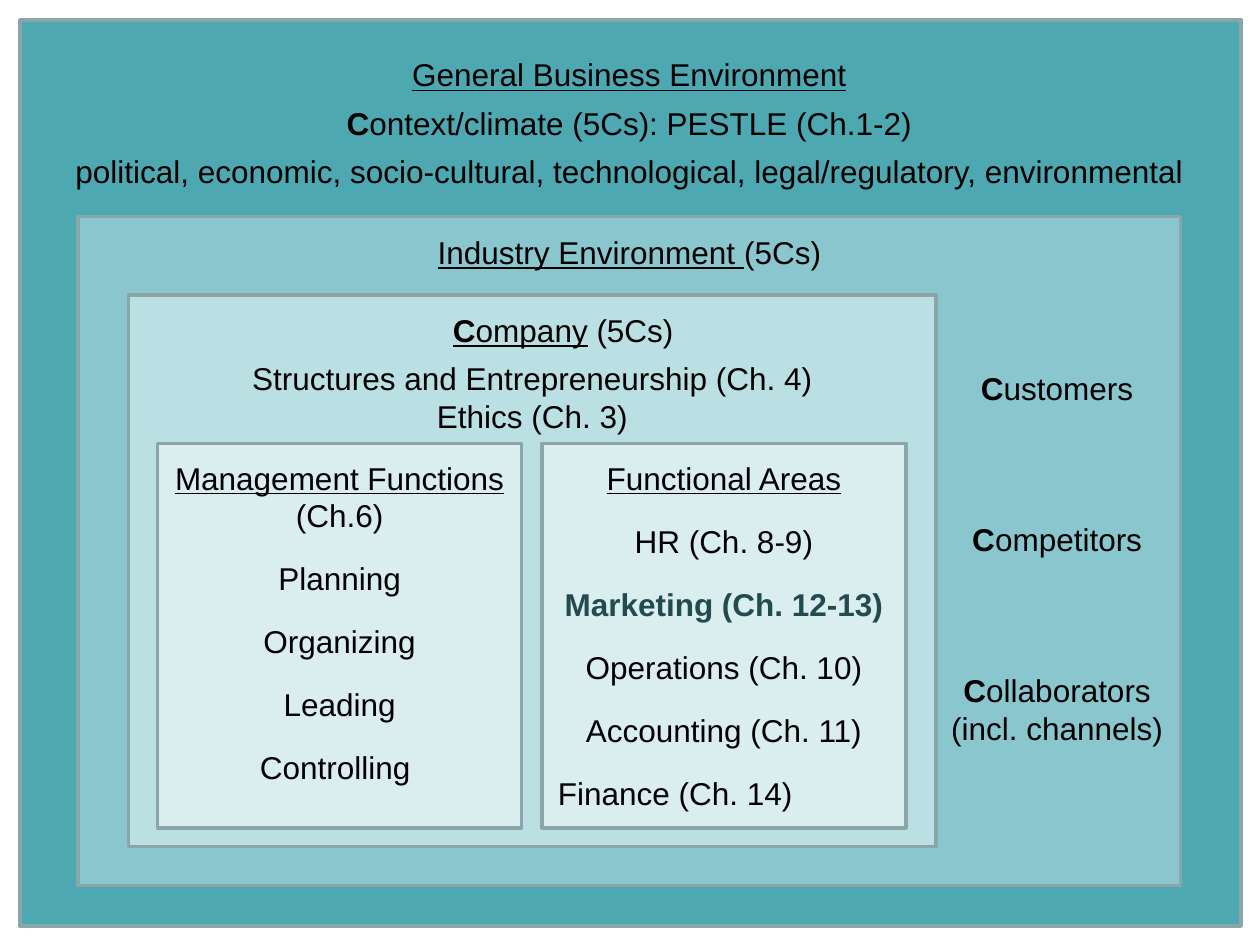
from pptx import Presentation
from pptx import util as u
from pptx.dml.color import RGBColor
from pptx.enum import shapes, text

LINE = u.Pt(64.6)
GAP = u.Pt(14.4)
BOLD, UNDER = {"bold": True}, {"underline": True}


def color(fmt, value):
    fmt.rgb = RGBColor.from_string(value)


def add_panel(parent, box, fill):
    sp = parent.shapes.add_shape(shapes.MSO_SHAPE.RECTANGLE, *map(u.Inches, box))
    sp.shadow.inherit = False
    sp.fill.solid()
    color(sp.fill.fore_color, fill)
    color(sp.line.color, "8AA6A8")
    sp.line.width = u.Pt(2)


def add_run(p, words, hue="000000", **style):
    r = p.add_run()
    r.text = words
    for name, value in {"name": "Arial", "size": u.Pt(18), **style}.items():
        setattr(r.font, name, value)
    color(r.font.color, hue)


def add_text(parent, box, paragraphs):
    tf = parent.shapes.add_textbox(*map(u.Inches, box)).text_frame
    tf.word_wrap = True
    tf.auto_size = text.MSO_AUTO_SIZE.SHAPE_TO_FIT_TEXT
    for i, (runs, layout) in enumerate(paragraphs):
        p = tf.add_paragraph() if i else tf.paragraphs[0]
        for name, value in {"alignment": text.PP_ALIGN.CENTER, **layout}.items():
            if name.startswith("mar"):
                p._p.get_or_add_pPr().set(name, str(value))
            else:
                setattr(p, name, value)
        for words, style in runs:
            add_run(p, words, **style)


def para(*runs, **layout):
    return runs, layout


def plain(words, **layout):
    return para((words, {}), **layout)


def c_word(rest, **layout):
    return para(("C", BOLD), (rest, {}), **layout)


def main():
    prs = Presentation()
    prs.slide_width, prs.slide_height = u.Inches(10), u.Inches(7.5)
    s = prs.slides.add_slide(prs.slide_layouts[6])
    diagram = s.shapes.add_group_shape()

    for box, fill in [
        ((0.16, 0.16, 9.69, 7.19), "4EA8B2"),
        ((0.62, 1.72, 8.75, 5.31), "8AC6CD"),
        ((1.02, 2.34, 6.41, 4.38), "BBE0E3"),
        ((1.25, 3.52, 2.89, 3.05), "DAEDEF"),
        ((4.3, 3.52, 2.89, 3.05), "DAEDEF"),
    ]:
        add_panel(diagram, box, fill)

    add_text(diagram, (0.23, 0.39, 9.53, 1.18), [
        para(("General Business Environment", UNDER)),
        c_word("ontext/climate (5Cs): PESTLE (Ch.1-2)",
               space_before=u.Pt(6), space_after=u.Pt(6)),
        plain("political, economic, socio-cultural, technological, "
              "legal/regulatory, environmental"),
    ])
    add_text(diagram, (1.02, 2.42, 6.41, 1.09), [
        para(("C", {**BOLD, **UNDER}), ("ompany", UNDER), (" (5Cs)", {}),
             marL=u.Inches(0.49)),
        plain("Structures and Entrepreneurship (Ch. 4)", space_before=u.Pt(6)),
        plain("Ethics (Ch. 3)"),
    ])
    add_text(diagram, (7.42, 2.88, 1.94, 3.13), [
        c_word("ustomers"),
        c_word("ompetitors", space_before=LINE),
        c_word("ollaborators", space_before=LINE),
        plain("(incl. channels)"),
    ])
    add_text(diagram, (1.25, 3.59, 2.89, 2.76), [
        para(("Management Functions ", UNDER), ("(Ch.6)", {})),
        *(plain(words, space_before=GAP)
          for words in ("Planning", "Organizing", "Leading")),
        plain("Controlling", space_before=GAP, marR=u.Inches(0.07)),
    ])
    add_text(diagram, (4.3, 3.59, 2.89, 3.03), [
        para(("Functional Areas", UNDER)),
        plain("HR (Ch. 8-9)", space_before=GAP),
        para(("Marketing (Ch. 12-13)", {"hue": "224B50", **BOLD}), space_before=GAP),
        plain("Operations (Ch. 10)", space_before=GAP),
        plain("Accounting (Ch. 11)", space_before=GAP),
        plain("Finance (Ch. 14)", space_before=GAP,
              alignment=text.PP_ALIGN.LEFT, marL=u.Inches(0.03)),
    ])
    add_text(diagram, (0.7, 1.8, 8.59, 0.4), [
        para(("Industry Environment ", UNDER), ("(5Cs)", {})),
    ])
    prs.save("out.pptx")


if __name__ == "__main__":
    main()
